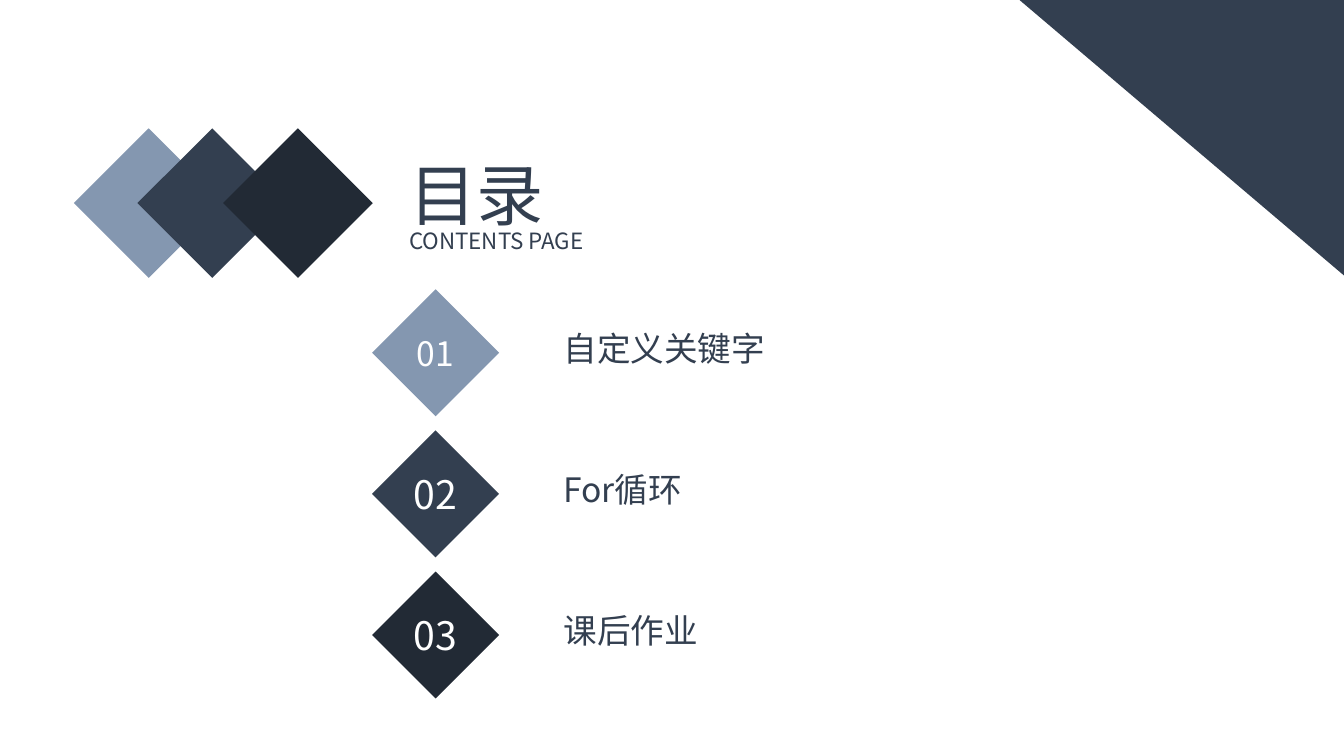
from pptx import Presentation
from pptx.dml.color import RGBColor
from pptx.enum.shapes import MSO_SHAPE
from pptx.enum.text import MSO_ANCHOR, PP_ALIGN
from pptx.util import Inches, Pt

RECTANGLE = MSO_SHAPE.RECTANGLE
DIAMOND = MSO_SHAPE.DIAMOND
RIGHT_TRIANGLE = MSO_SHAPE.RIGHT_TRIANGLE
MIDDLE = MSO_ANCHOR.MIDDLE
LEFT = PP_ALIGN.LEFT
CENTER = PP_ALIGN.CENTER

LIGHT_BLUE = RGBColor(0x84, 0x97, 0xB0)
SLATE = RGBColor(0x33, 0x3F, 0x50)
NAVY = RGBColor(0x22, 0x2A, 0x35)
WHITE = RGBColor(0xFF, 0xFF, 0xFF)
SHADES = (LIGHT_BLUE, SLATE, NAVY)


class SlideBuilder:
    font_name = "Noto Sans CJK JP"
    subtitle_font = "Noto Sans CJK SC"

    def __init__(self, slide):
        self.slide = slide

    def add_shape(self, kind, left, top, width, height, color, rotation=0):
        shape = self.slide.shapes.add_shape(
            kind, Inches(left), Inches(top), Inches(width), Inches(height))
        shape.shadow.inherit = False
        shape.fill.solid()
        shape.fill.fore_color.rgb = color
        shape.line.fill.background()
        shape.rotation = rotation
        return shape

    def format_paragraph(self, paragraph, size, color, font_name=None,
                         alignment=LEFT, line_spacing=None):
        paragraph.alignment = alignment
        paragraph.line_spacing = line_spacing
        for run in paragraph.runs:
            run.font.size = Pt(size)
            run.font.name = font_name or self.font_name
            run.font.color.rgb = color

    def add_text(self, left, top, width, height, text):
        box = self.slide.shapes.add_textbox(
            Inches(left), Inches(top), Inches(width), Inches(height))
        box.text_frame.word_wrap = True
        box.text_frame.text = text
        return box.text_frame.paragraphs

    def add_heading(self, title, subtitle):
        paragraphs = self.add_text(3.96, 1.56, 6.94, 1.98, f"{title}\n{subtitle}")
        self.format_paragraph(paragraphs[0], 48, SLATE, line_spacing=0.9)
        self.format_paragraph(paragraphs[1], 16, SLATE, self.subtitle_font,
                              line_spacing=0.7)

    def add_entry(self, top, number, number_size, label, color):
        diamond = self.add_shape(DIAMOND, 3.69, top, 1.26, 1.26, color)
        diamond.text_frame.text = number
        diamond.text_frame.vertical_anchor = MIDDLE
        self.format_paragraph(diamond.text_frame.paragraphs[0], number_size,
                              WHITE, alignment=CENTER)
        paragraphs = self.add_text(5.49, top + 0.38, 4.41, 0.5, label)
        self.format_paragraph(paragraphs[0], 24, SLATE, line_spacing=0.9)


presentation = Presentation()
presentation.slide_width = Inches(13.33)
presentation.slide_height = Inches(7.5)
builder = SlideBuilder(presentation.slides.add_slide(presentation.slide_layouts[6]))

builder.add_shape(RIGHT_TRIANGLE, 10.1, -0.01, 3.25, 2.76, SLATE, rotation=180)
for left, shade in zip((0.95, 1.58, 2.43), SHADES):
    builder.add_shape(RECTANGLE, left, 1.49, 1.05, 1.05, shade, rotation=45)
builder.add_heading("目录", "CONTENTS PAGE")

entries = (("自定义关键字", 24), ("For循环", 28), ("课后作业", 28))
for index, ((label, number_size), shade) in enumerate(zip(entries, SHADES)):
    builder.add_entry(2.87 + 1.4 * index, f"{index + 1:02d}", number_size, label, shade)

presentation.save("out.pptx")
